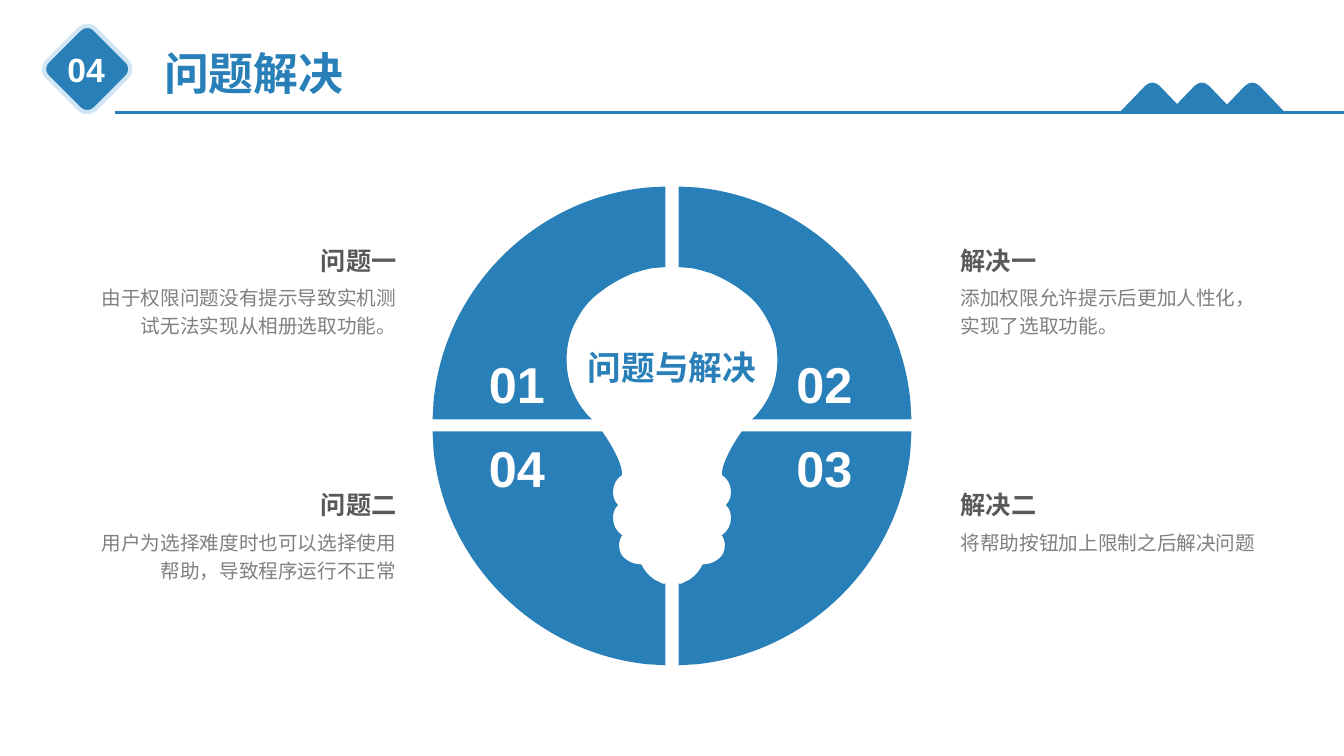
import pptx
import pptx.dml.color
import pptx.enum.shapes
import pptx.enum.text
import pptx.util
from lxml import etree

PIXEL = 9144  # EMU, 100 px to the inch
WIDTH, HEIGHT = 1333, 750
DRAWING = "{http://schemas.openxmlformats.org/drawingml/2006/main}"
ALIGN = pptx.enum.text.PP_ALIGN
AUTO_SIZE = pptx.enum.text.MSO_AUTO_SIZE

THEME = {
    "font": "Arial",
    "blue": pptx.dml.color.RGBColor.from_string("2980B9"),
    "pale": pptx.dml.color.RGBColor.from_string("D1E6F5"),
    "white": pptx.dml.color.RGBColor.from_string("FFFFFF"),
    "heading": pptx.dml.color.RGBColor.from_string("595959"),
    "body": pptx.dml.color.RGBColor.from_string("808080"),
    # size, bold, colour, line spacing, wrap, grow
    "title": (32, True, "blue", None, False, True),
    "badge": (24, True, "white", None, False, True),
    "number": (36, True, "white", None, False, False),
    "center": (24, True, "blue", 1.2, True, True),
    "note_heading": (18, True, "heading", 1.2, True, True),
    "note_body": (14, False, "body", 1.2, True, True),
}

presentation = pptx.Presentation()
presentation.slide_width = WIDTH * PIXEL
presentation.slide_height = HEIGHT * PIXEL
slide = presentation.slides.add_slide(presentation.slide_layouts[6])


def add_text(text, box, style, alignment=ALIGN.LEFT):
    size, bold, color, spacing, wrap, grow = THEME[style]
    shape = slide.shapes.add_textbox(*(length * PIXEL for length in box))
    frame = shape.text_frame
    paragraph = frame.paragraphs[0]
    run = paragraph.add_run()
    run.text = text
    fit = AUTO_SIZE.SHAPE_TO_FIT_TEXT if grow else AUTO_SIZE.NONE
    for target, values in (
        (frame, {"word_wrap": wrap, "auto_size": fit}),
        (paragraph, {"alignment": alignment, "line_spacing": spacing}),
        (run.font, {"name": THEME["font"], "size": pptx.util.Pt(size), "bold": bold}),
    ):
        for name, value in values.items():
            setattr(target, name, value)
    run.font.color.rgb = THEME[color]


def add_outline(segments, place=lambda x, y: (x, y)):
    """Draw a filled outline; a pair is a line end, six values are a Bezier curve."""
    points = [place(*segment[i:i + 2])
              for segment in segments for i in range(0, len(segment), 2)]
    builder = slide.shapes.build_freeform(*points[0], scale=PIXEL)
    builder.add_line_segments(points[1:], close=True)
    shape = builder.convert_to_shape()
    shape.shadow.inherit = False
    shape.fill.solid()
    shape.fill.fore_color.rgb = THEME["blue"]
    shape.line.fill.background()
    # Join the three points of each curve into one Bezier command
    lines = iter(list(shape._element.iter(DRAWING + "lnTo")))
    for segment in segments[1:]:
        first = next(lines)
        if len(segment) == 6:
            first.tag = DRAWING + "cubicBezTo"
            for line in (next(lines), next(lines)):
                first.append(line[0])
                line.getparent().remove(line)


# Ring quarters around the light bulb: left halves, mirrored to the right
upper_quarter = [
    (660, 185), (660, 265), (647, 266),
    (641, 267, 635, 269, 628, 271), (616, 276, 605, 282, 595, 290),
    (585, 297, 577, 307, 571, 319), (565, 330, 562, 343, 562, 357),
    (562, 378, 569, 396, 583, 412), (587, 416), (429, 416), (430, 398),
    (441, 286, 530, 197, 642, 186),
]
lower_quarter = [
    (429, 428), (597, 428), (598, 429),
    (602, 435, 606, 441, 610, 449), (614, 457, 617, 464, 617, 471),
    (611, 475, 608, 481, 608, 488), (608, 493, 609, 497, 613, 501),
    (609, 505, 608, 509, 608, 514), (608, 521, 611, 527, 617, 531),
    (615, 534, 614, 537, 614, 540), (614, 547, 616, 552, 621, 555),
    (625, 558, 630, 560, 636, 560), (639, 566, 643, 571, 649, 575),
    (652, 576, 654, 578, 657, 579), (660, 579), (660, 660), (642, 659),
    (530, 647, 441, 558, 430, 447),
]
for quarter in (upper_quarter, lower_quarter):
    add_outline(quarter)
    add_outline(quarter, lambda x, y: (WIDTH - x, y))

# Quarter numbers
for top, numbers in ((345, ("01", "02")), (429, ("04", "03"))):
    for left, number in zip((475, 780), numbers):
        add_text(number, (left, top, 76, 71), "number")

# Problems on the left, solutions on the right
columns = (
    (158, 88, ALIGN.RIGHT, (
        ("问题一", "由于权限问题没有提示导致实机测试无法实现从相册选取功能。", 66),
        ("问题二", "用户为选择难度时也可以选择使用帮助，导致程序运行不正常", 66))),
    (943, 943, ALIGN.LEFT, (
        ("解决一", "添加权限允许提示后更加人性化，实现了选取功能。", 66),
        ("解决二", "将帮助按钮加上限制之后解决问题", 38))),
)
for heading_left, body_left, alignment, notes in columns:
    for top, (heading, body, body_height) in zip((232, 475), notes):
        add_text(body, (body_left, top + 42, 315, body_height), "note_body", alignment)
        add_text(heading, (heading_left, top, 245, 46), "note_heading", alignment)

# Bulb label
add_text("问题与解决", (563, 331, 207, 58), "center", ALIGN.CENTER)

# Header: badge, rule and title
badge = slide.shapes.add_shape(
    pptx.enum.shapes.MSO_SHAPE.ROUNDED_RECTANGLE,
    53 * PIXEL, 35 * PIXEL, 67 * PIXEL, 67 * PIXEL)
badge.rotation = 45
badge.shadow.inherit = False
badge.fill.solid()
badge.fill.fore_color.rgb = THEME["blue"]
badge.line.color.rgb = THEME["pale"]
badge.line.width = pptx.util.Pt(3)

rule = slide.shapes.add_connector(
    pptx.enum.shapes.MSO_CONNECTOR.STRAIGHT,
    114 * PIXEL, 112 * PIXEL, WIDTH * PIXEL, 112 * PIXEL)
rule.line.color.rgb = THEME["blue"]
rule.line.width = pptx.util.Pt(2.25)
etree.SubElement(rule._element.spPr, DRAWING + "effectLst")

add_text("问题解决", (153, 40, 198, 64), "title")
add_text("04", (57, 44, 57, 50), "badge", ALIGN.CENTER)

# Three rounded peaks on the rule
peak = [
    (0, 82), (2, 82, 5, 83, 7, 85), (31, 110), (33, 112), (-33, 112),
    (-31, 110), (-7, 85), (-5, 83, -2, 82, 0, 82),
]
for center in (1143, 1192, 1242):
    add_outline(peak, lambda x, y: (center + x, y))

presentation.save("out.pptx")
